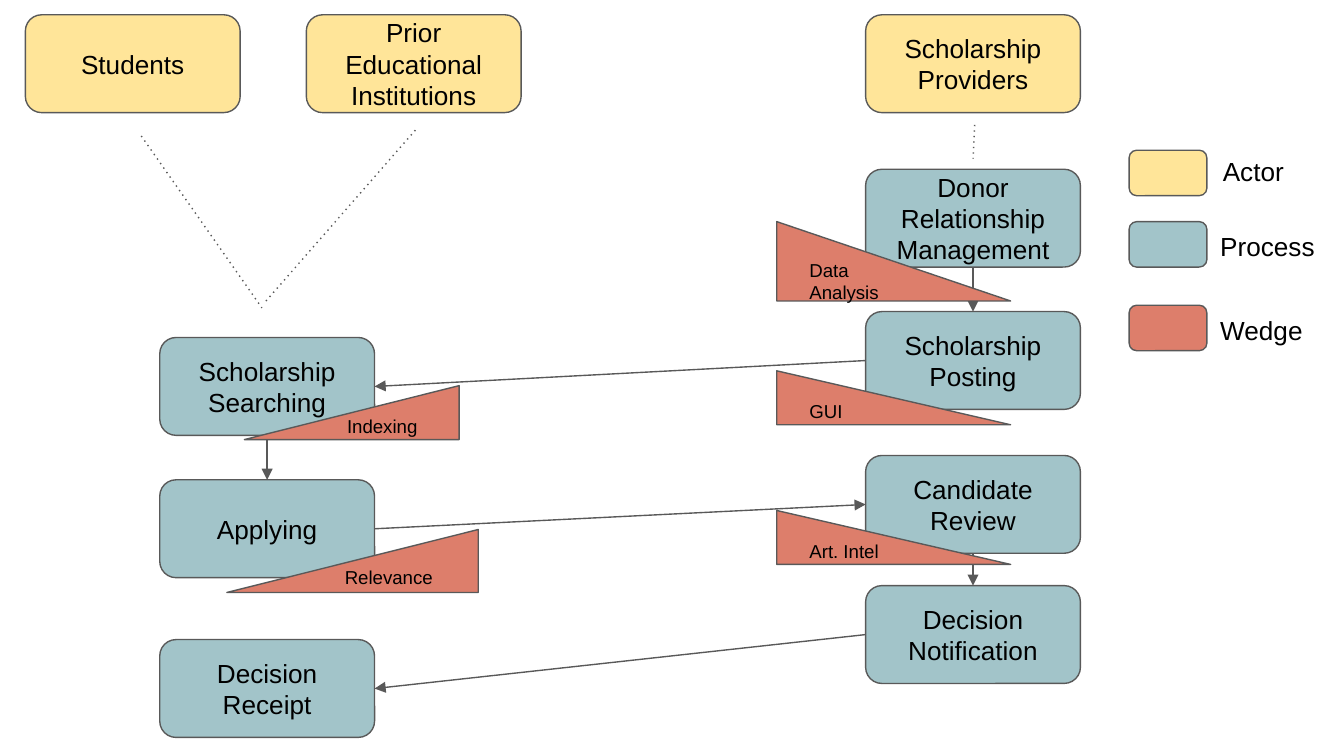
from lxml import etree
from pptx import Presentation
from pptx.dml.color import RGBColor
from pptx.enum.shapes import MSO_CONNECTOR, MSO_SHAPE
from pptx.enum.text import MSO_ANCHOR, PP_ALIGN
from pptx.oxml.ns import qn
from pptx.util import Cm, Pt

ROUND = MSO_SHAPE.ROUNDED_RECTANGLE
SLOPE = MSO_SHAPE.RIGHT_TRIANGLE
STRAIGHT = MSO_CONNECTOR.STRAIGHT
MIDDLE, TOP = MSO_ANCHOR.MIDDLE, MSO_ANCHOR.TOP
CENTER, LEFT = PP_ALIGN.CENTER, PP_ALIGN.LEFT

YELLOW = RGBColor(0xFF, 0xE5, 0x99)
TEAL = RGBColor(0xA2, 0xC4, 0xC9)
RED = RGBColor(0xDD, 0x7E, 0x6B)
GRAY = RGBColor(0x59, 0x59, 0x59)
BLACK = RGBColor(0, 0, 0)

BOX_W, BOX_H = 4.06, 1.85
SEEKER, DONOR = 3.02, 16.36
TOP_SITE, LEFT_SITE, BOTTOM_SITE, RIGHT_SITE = range(4)


def write(shape, text, size, align, anchor):
    frame = shape.text_frame
    frame.word_wrap = True
    frame.vertical_anchor = anchor
    frame.margin_left = frame.margin_right = Cm(0.25)
    frame.margin_top = frame.margin_bottom = Cm(0.25)
    para = frame.paragraphs[0]
    para.alignment = align
    run = para.add_run()
    run.text = text
    run.font.name = "Arial"
    run.font.size = Pt(size)
    run.font.color.rgb = BLACK


def add_form(slide, kind, x, y, w, h, fill):
    shape = slide.shapes.add_shape(kind, Cm(x), Cm(y), Cm(w), Cm(h))
    shape.shadow.inherit = False
    shape.fill.solid()
    shape.fill.fore_color.rgb = fill
    shape.line.color.rgb = GRAY
    shape.line.width = Pt(0.75)
    return shape


def add_box(slide, x, y, text, fill):
    box = add_form(slide, ROUND, x, y, BOX_W, BOX_H, fill)
    write(box, text, 14, CENTER, MIDDLE)
    return box


def add_wedge(slide, x, y, w, h, text, flip):
    wedge = add_form(slide, SLOPE, x, y, w, h, RED)
    if flip:
        wedge._element.spPr.find(qn("a:xfrm")).set("flipH", "1")
    write(wedge, text, 10, LEFT, MIDDLE)


def add_line(slide, x1, y1, x2, y2, tag, **style):
    line = slide.shapes.add_connector(STRAIGHT, Cm(x1), Cm(y1), Cm(x2), Cm(y2))
    line.line.color.rgb = GRAY
    line.line.width = Pt(0.75)
    props = line._element.spPr
    mark = etree.SubElement(props.find(qn("a:ln")), qn(tag))
    for key, value in style.items():
        mark.set(key, value)
    etree.SubElement(props, qn("a:effectLst"))
    return line


def add_arrow(slide, start, out, end, into):
    arrow = add_line(slide, 0, 0, 1, 1, "a:tailEnd", type="triangle", w="med", len="med")
    arrow.begin_connect(start, out)
    arrow.end_connect(end, into)


def add_chain(slide, x, steps):
    return [add_box(slide, x, y, text, TEAL) for y, text in steps]


def add_legend(slide, x, y):
    rows = [
        (0, "Actor", YELLOW, 1.52, -0.15),
        (1.35, "Process", TEAL, 1.47, -0.08),
        (2.93, "Wedge", RED, 1.47, -0.08),
    ]
    for down, text, fill, dx, dy in rows:
        add_form(slide, ROUND, x, y + down, 1.47, 0.86, fill)
        label = slide.shapes.add_textbox(Cm(x + dx), Cm(y + down + dy), Cm(2.39), Cm(1.02))
        write(label, text, 14, LEFT, TOP)


def add_flow(slide):
    actors = [(0.48, "Students"), (5.79, "Prior Educational Institutions"),
              (DONOR, "Scholarship Providers")]
    for x, text in actors:
        add_box(slide, x, 0.28, text, YELLOW)

    search, apply, receipt = add_chain(slide, SEEKER, [
        (6.38, "Scholarship Searching"), (9.07, "Applying"), (12.09, "Decision Receipt")])
    manage, post, review, notice = add_chain(slide, DONOR, [
        (3.2, "Donor Relationship Management"), (5.89, "Scholarship Posting"),
        (8.61, "Candidate Review"), (11.07, "Decision Notification")])

    for start, end in [(manage, post), (search, apply), (review, notice)]:
        add_arrow(slide, start, BOTTOM_SITE, end, TOP_SITE)
    for start, end in [(post, search), (notice, receipt)]:
        add_arrow(slide, start, LEFT_SITE, end, RIGHT_SITE)
    add_arrow(slide, apply, RIGHT_SITE, review, LEFT_SITE)

    add_wedge(slide, 4.62, 7.29, 4.06, 1.02, "Indexing", True)
    add_wedge(slide, 4.29, 10.01, 4.75, 1.19, "Relevance", True)
    for y, h, text in [(4.19, 1.5, "Data Analysis"), (7.01, 1.02, "GUI"),
                       (9.65, 1.02, "Art. Intel")]:
        add_wedge(slide, 14.68, y, 4.42, h, text, False)

    for ends in [(2.67, 2.57, 4.95, 5.82), (7.85, 2.46, 5, 5.72), (18.42, 2.36, 18.39, 3)]:
        add_line(slide, *ends, "a:prstDash", val="dot")


deck = Presentation()
deck.slide_width, deck.slide_height = Cm(25.4), Cm(14.29)
page = deck.slides.add_slide(deck.slide_layouts[6])
add_flow(page)
add_legend(page, 21.34, 2.84)
deck.save("out.pptx")
